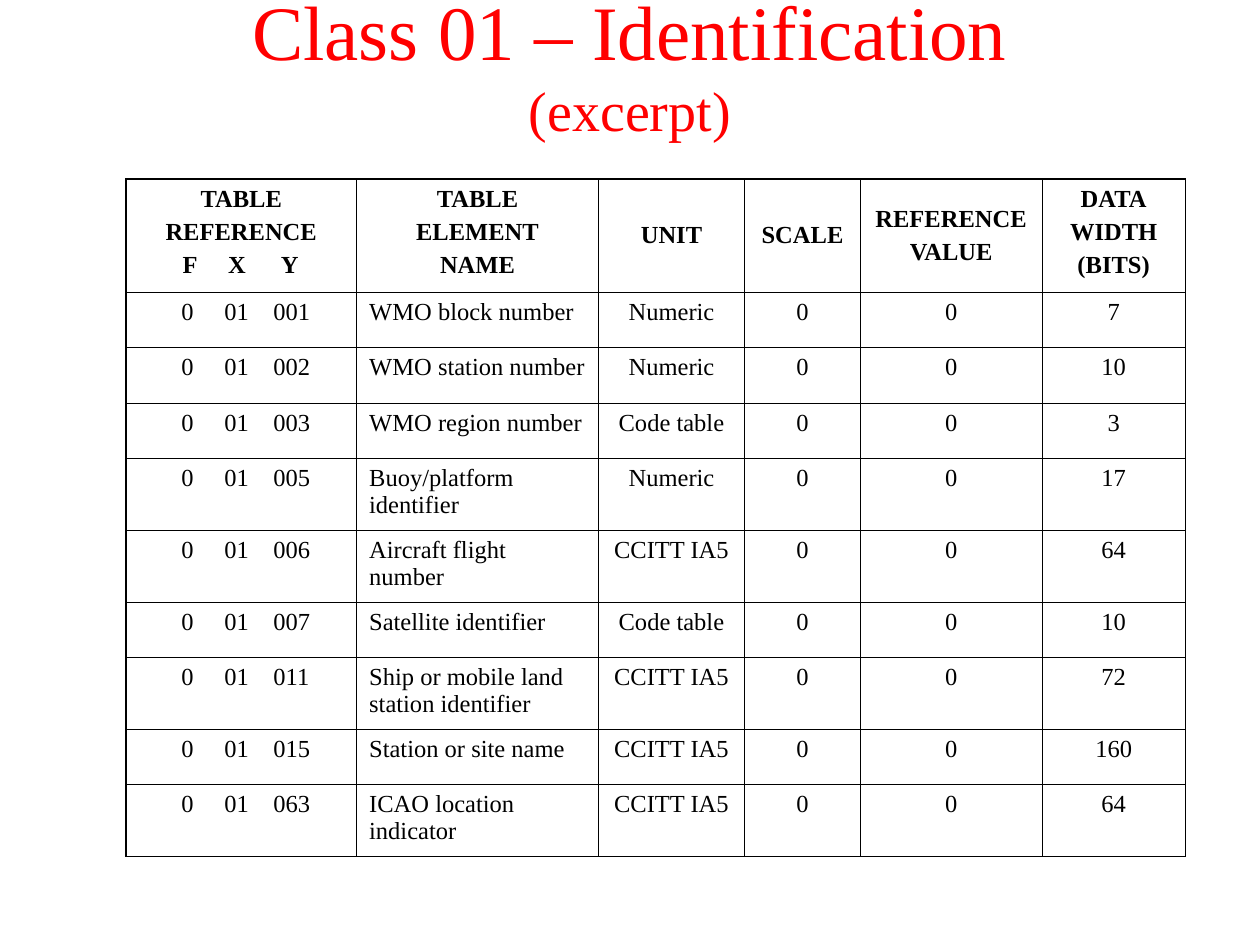
from lxml.etree import SubElement
from pptx import Presentation
from pptx.dml.color import RGBColor
from pptx.enum.text import MSO_ANCHOR as Anchor, PP_ALIGN as Align
from pptx.oxml.ns import qn
from pptx.util import Inches, Pt

RED = RGBColor(0xFF, 0x00, 0x00)
BLACK = RGBColor(0x00, 0x00, 0x00)
FONT = "Times New Roman"
THIN, THICK = 0.45, 1.08

COLUMN_WIDTHS = [1.83, 1.92, 1.16, 0.92, 1.44, 1.14]
HEADER_HEIGHT, ONE_LINE, TWO_LINES = 0.9, 0.44, 0.57
HEADER_TABS = [0.35, 0.71, 1.13]
REFERENCE_TABS = [0.34, 0.68, 1.07]

HEADERS = [
    ["TABLE", "REFERENCE", "\tF\tX\tY"],
    ["TABLE", "ELEMENT", "NAME"],
    ["UNIT"],
    ["SCALE"],
    ["REFERENCE", "VALUE"],
    ["DATA", "WIDTH", "(BITS)"],
]
# Y of the reference, element name, unit, data width, row height
ELEMENTS = [
    ("001", "WMO block number", "Numeric", "7", ONE_LINE),
    ("002", "WMO station number", "Numeric", "10", ONE_LINE),
    ("003", "WMO region number", "Code table", "3", ONE_LINE),
    ("005", "Buoy/platform identifier", "Numeric", "17", TWO_LINES),
    ("006", "Aircraft flight number", "CCITT IA5", "64", TWO_LINES),
    ("007", "Satellite identifier", "Code table", "10", ONE_LINE),
    ("011", "Ship or mobile land station identifier", "CCITT IA5", "72", TWO_LINES),
    ("015", "Station or site name", "CCITT IA5", "160", ONE_LINE),
    ("063", "ICAO location indicator", "CCITT IA5", "64", TWO_LINES),
]


def add_run(paragraph, text, size, color, bold=False):
    run = paragraph.add_run()
    run.text = text
    run.font.name = FONT
    run.font.size = Pt(size)
    run.font.bold = bold
    run.font.color.rgb = color


def add_title(slide):
    box = slide.shapes.add_textbox(Inches(0.75), 0, Inches(8.5), Inches(1))
    frame = box.text_frame
    frame.word_wrap = True
    frame.vertical_anchor = Anchor.MIDDLE
    paragraph = frame.paragraphs[0]
    paragraph.alignment = Align.CENTER
    add_run(paragraph, "Class 01 – Identification", 44, RED)
    paragraph.add_line_break()
    add_run(paragraph, "(excerpt)", 32, RED)


def set_tab_stops(paragraph, positions):
    tab_list = SubElement(paragraph._p.get_or_add_pPr(), qn("a:tabLst"))
    for position in positions:
        SubElement(tab_list, qn("a:tab"), pos=str(Inches(position)), algn="l")


def set_borders(cell, left, right, top, bottom):
    properties = cell._tc.get_or_add_tcPr()
    for side, width in (("L", left), ("R", right), ("T", top), ("B", bottom)):
        line = SubElement(properties, qn(f"a:ln{side}"), w=str(Pt(width)))
        fill = SubElement(line, qn("a:solidFill"))
        SubElement(fill, qn("a:srgbClr"), val=str(BLACK))


def fill_cell(cell, lines, alignment, tab_stops, bold=False):
    """Write one paragraph per line; tabbed lines are left-aligned."""
    frame = cell.text_frame
    for index, text in enumerate(lines):
        paragraph = frame.add_paragraph() if index else frame.paragraphs[0]
        paragraph.space_before = Pt(3.5)
        paragraph.alignment = alignment
        if "\t" in text:
            paragraph.alignment = Align.LEFT
            set_tab_stops(paragraph, tab_stops)
        add_run(paragraph, text, 14, BLACK, bold)


def add_element_table(slide):
    heights = [HEADER_HEIGHT] + [element[-1] for element in ELEMENTS]
    last_row, last_column = len(heights) - 1, len(COLUMN_WIDTHS) - 1
    frame = slide.shapes.add_table(
        len(heights), len(COLUMN_WIDTHS), Inches(1), Inches(1.42),
        Inches(sum(COLUMN_WIDTHS)), Inches(sum(heights)))
    table = frame.table
    table.first_row = table.horz_banding = False
    for column, width in zip(table.columns, COLUMN_WIDTHS):
        column.width = Inches(width)
    for row, height in zip(table.rows, heights):
        row.height = Inches(height)

    for column, lines in enumerate(HEADERS):
        cell = table.cell(0, column)
        fill_cell(cell, lines, Align.CENTER, HEADER_TABS, bold=True)
        if len(lines) < 3:
            cell.vertical_anchor = Anchor.MIDDLE

    for row, (y, name, unit, bits, _) in enumerate(ELEMENTS, start=1):
        values = [f"\t0\t01\t{y}", name, unit, "0", "0", bits]
        for column, value in enumerate(values):
            alignment = Align.LEFT if column < 2 else Align.CENTER
            fill_cell(table.cell(row, column), [value], alignment, REFERENCE_TABS)

    for row in range(last_row + 1):
        for column in range(last_column + 1):
            cell = table.cell(row, column)
            set_borders(
                cell,
                left=THICK if column == 0 else THIN,
                right=THICK if column == last_column else THIN,
                top=THICK if row == 0 else THIN,
                bottom=THICK if row == last_row else THIN)
            cell.fill.background()


def main():
    presentation = Presentation()
    presentation.slide_width = Inches(10)
    presentation.slide_height = Inches(7.5)
    slide = presentation.slides.add_slide(presentation.slide_layouts[6])
    add_title(slide)
    add_element_table(slide)
    presentation.save("out.pptx")


if __name__ == "__main__":
    main()
